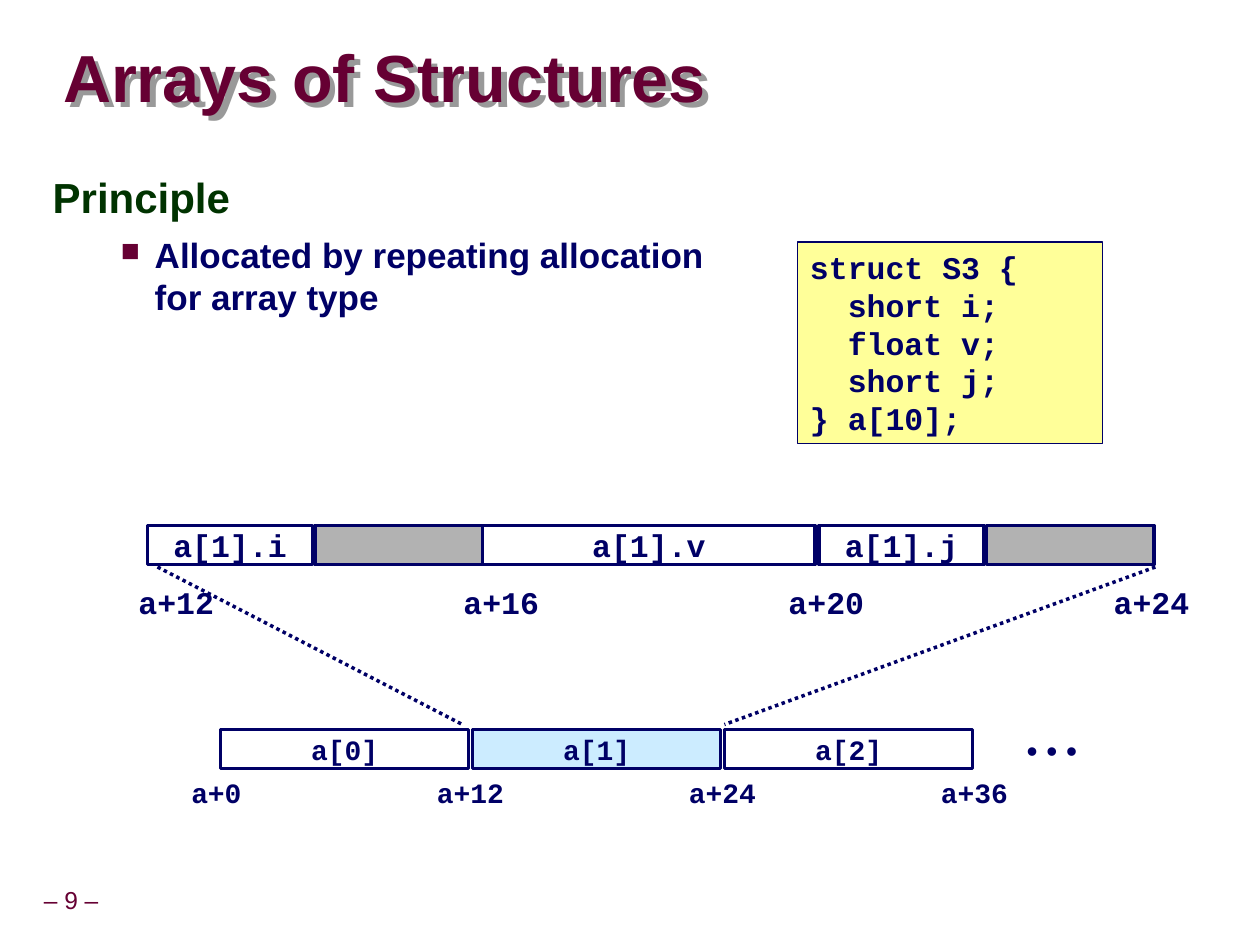
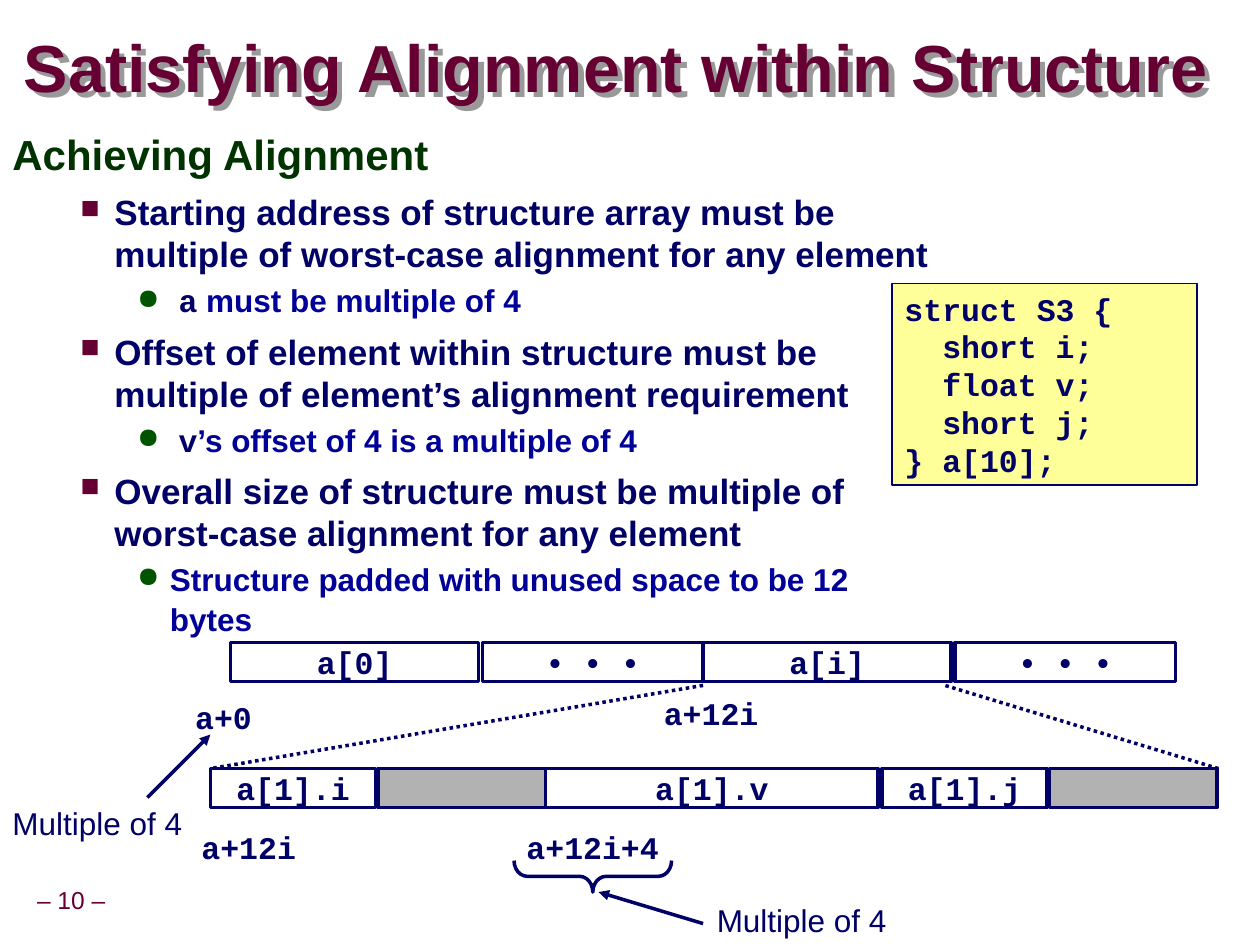
from dataclasses import dataclass

from lxml import etree
from pptx import Presentation
from pptx.dml.color import RGBColor as RGB
from pptx.enum.dml import MSO_LINE
from pptx.enum.shapes import MSO_CONNECTOR, MSO_SHAPE
from pptx.enum.text import MSO_ANCHOR as ANCHOR, MSO_AUTO_SIZE as AUTO, PP_ALIGN as ALIGN
from pptx.oxml import parse_xml
from pptx.oxml.ns import nsdecls, qn
from pptx.util import Inches, Pt


@dataclass(frozen=True)
class Theme:
    sans: str = "Arial"
    mono: str = "Courier New"
    maroon: str = "660033"
    green: str = "003300"
    bullet_green: str = "005400"
    navy: str = "000066"
    blue: str = "000099"
    white: str = "FFFFFF"
    yellow: str = "FFFF99"
    sky: str = "CCECFF"
    gray: str = "B2B2B2"
    shadow: str = "999999"
    title: int = 38
    heading: int = 24
    point: int = 20
    text: int = 18
    small: int = 16
    footer: int = 14


T = Theme()

# Body levels: size, colour, left margin, hanging indent, line spacing,
# space before, bullet (character, colour, percent)
LEVELS = [
    (T.heading, T.green, 0.42, 0.42, 0.95, 15, None),
    (T.point, T.navy, 0.81, 0.27, 1.0, 6.2, ("■", T.maroon, 75)),
    (T.text, T.blue, 1.25, 0.26, 1.07, 2.2, ("●", T.bullet_green, 90)),
]
CODE = ["struct S3 {", "  short i;", "  float v;", "  short j;", "} a[10];"]

# Fields of one element: text, offset, width, fill
FIELDS = [
    ("a[1].i", 0, 1.31, T.white),
    ("", 1.33, 1.33, T.gray),
    ("a[1].v", 2.66, 2.64, T.white),
    ("a[1].j", 5.33, 1.31, T.white),
    ("", 6.66, 1.33, T.gray),
]

# Title, its place, body place, code box corner, corner of the field row, body
SLIDES = [
    ("Arrays of Structures", (0.5, 0.33, 7.15, 0.63), (0.32, 1.34, 5.8, 5.71),
     (6.33, 1.92), (1.17, 4.17), [
        (0, ["Principle"]),
        (1, ["Allocated by repeating allocation for array type"]),
    ]),
    ("Satisfying Alignment within Structure", (0.19, 0.25, 9.64, 0.63), (0, 1, 7.5, 6),
     (7.08, 2.25), (1.67, 6.1), [
        (0, ["Achieving Alignment"]),
        (1, ["Starting address of structure array must be multiple of "
             "worst-case alignment for any element"]),
        (2, [" ", "a", " must be multiple of 4"]),
        (1, ["Offset of element within structure must be multiple of "
             "element’s alignment requirement"]),
        (2, [" ", "v", "’s offset of 4 is a multiple of 4"]),
        (1, ["Overall size of structure must be multiple of worst-case "
             "alignment for any element"]),
        (2, ["Structure padded with unused space to be 12 bytes"]),
    ]),
]


def add_box(s, place, lines, size=T.text, font=T.mono, fill=None, width=2, align=ALIGN.CENTER):
    """Add a filled rectangle, or a plain left-aligned label when fill is None."""
    place = [Inches(v) for v in place]
    if fill:
        sp = s.shapes.add_shape(MSO_SHAPE.RECTANGLE, *place)
        sp.shadow.inherit = False
        sp.fill.solid()
        sp.fill.fore_color.rgb = RGB.from_string(fill)
        sp.line.color.rgb = RGB.from_string(T.navy)
        sp.line.width = Pt(width)
    else:
        sp = s.shapes.add_textbox(*place)
        align = ALIGN.LEFT
    tf = sp.text_frame
    tf.word_wrap = False
    tf.vertical_anchor = ANCHOR.MIDDLE if fill else ANCHOR.TOP
    for i, line in enumerate(lines):
        p = tf.paragraphs[0] if i == 0 else tf.add_paragraph()
        p.alignment = align
        if line:
            r = p.add_run()
            r.text = line
            r.font.name = font
            r.font.size = Pt(size)
            r.font.bold = font == T.mono
            r.font.color.rgb = RGB.from_string(T.navy)
    return sp


def add_line(s, x1, y1, x2, y2, arrow=False):
    """Add a solid arrow, or a dotted line without a head."""
    cn = s.shapes.add_connector(MSO_CONNECTOR.STRAIGHT, *[Inches(v) for v in (x1, y1, x2, y2)])
    cn.line.color.rgb = RGB.from_string(T.navy)
    cn.line.width = Pt(2)
    if arrow:
        ln = cn.line._get_or_add_ln()
        etree.SubElement(ln, qn("a:tailEnd"), type="triangle")
    else:
        cn.line.dash_style = MSO_LINE.ROUND_DOT
    etree.SubElement(cn._element.spPr, qn("a:effectLst"))


prs = Presentation()
prs.slide_width, prs.slide_height = Inches(10), Inches(7.5)

for number, (title, title_at, body_at, code_at, fields_at, body) in enumerate(SLIDES, 9):
    s = prs.slides.add_slide(prs.slide_layouts[5])

    # Title with its gray shadow
    sp = s.shapes.title
    sp.left, sp.top, sp.width, sp.height = [Inches(v) for v in title_at]
    sp._element.spPr.append(parse_xml(
        f'<a:effectLst {nsdecls("a")}><a:outerShdw dist="56000" dir="2700000" algn="ctr">'
        f'<a:srgbClr val="{T.shadow}"/></a:outerShdw></a:effectLst>'))
    tf = sp.text_frame
    tf.margin_left = tf.margin_right = tf.margin_top = tf.margin_bottom = 0
    tf.auto_size = AUTO.NONE
    tf.word_wrap = True
    tf.vertical_anchor = ANCHOR.MIDDLE
    p = tf.paragraphs[0]
    p.alignment = ALIGN.LEFT
    p.line_spacing = 0.87
    r = p.add_run()
    r.text = title
    r.font.name, r.font.size, r.font.bold = T.sans, Pt(T.title), True
    r.font.color.rgb = RGB.from_string(T.maroon)

    # Page number
    sp = s.shapes.add_textbox(Inches(-0.09), Inches(7), Inches(1.31), Inches(0.31))
    tf = sp.text_frame
    tf.margin_left = tf.margin_right = Inches(0.05)
    tf.word_wrap = False
    tf.vertical_anchor = ANCHOR.MIDDLE
    p = tf.paragraphs[0]
    p.alignment = ALIGN.CENTER
    p.line_spacing = 0.9
    r = p.add_run()
    r.text = f"– {number} –"
    r.font.name, r.font.size = T.sans, Pt(T.footer)
    r.font.color.rgb = RGB.from_string(T.maroon)

    # Body text
    tf = s.shapes.add_textbox(*[Inches(v) for v in body_at]).text_frame
    tf.word_wrap = True
    for i, (level, runs) in enumerate(body):
        size, color, margin, hanging, spacing, before, bullet = LEVELS[level]
        p = tf.paragraphs[0] if i == 0 else tf.add_paragraph()
        p.level = level
        p.line_spacing = spacing
        p.space_before = Pt(before if i else 0)
        pPr = p._p.get_or_add_pPr()
        pPr.set("marL", str(Inches(margin)))
        pPr.set("indent", str(-Inches(hanging)))
        if bullet:
            char, bullet_color, percent = bullet
            clr = etree.SubElement(pPr, qn("a:buClr"))
            etree.SubElement(clr, qn("a:srgbClr"), val=bullet_color)
            etree.SubElement(pPr, qn("a:buSzPct"), val=str(percent * 1000))
            etree.SubElement(pPr, qn("a:buChar"), char=char)
        for text in runs:
            is_code = text in ("a", "v")
            r = p.add_run()
            r.text = text
            r.font.name = T.mono if is_code else T.sans
            r.font.size, r.font.bold = Pt(size), True
            r.font.color.rgb = RGB.from_string(T.navy if is_code else color)

    # Declaration and the fields of one element
    sp = add_box(s, (*code_at, 2.42, 1.6), CODE, fill=T.yellow, width=1, align=ALIGN.LEFT)
    sp.text_frame.vertical_anchor = ANCHOR.TOP
    left, top = fields_at
    for text, offset, w, fill in FIELDS:
        add_box(s, (left + offset, top, w, 0.31), [text], fill=fill)

array_slide, alignment_slide = prs.slides

# Array of elements, zoomed into a[1]
s = array_slide
for i, fill in enumerate([T.white, T.sky, T.white]):
    add_box(s, (1.75 + 2 * i, 5.79, 1.97, 0.31), [f"a[{i}]"], T.small, fill=fill)
for x, text, w in [(1.42, "a+0", 0.6), (3.37, "a+12", 0.73), (5.37, "a+24", 0.73),
                   (7.37, "a+36", 0.73)]:
    add_box(s, (x, 6.11, w, 0.36), [text], T.small)
add_box(s, (8.05, 5.75, 0.6, 0.4), ["• • •"], font=T.sans)
for i in range(4):
    add_box(s, (1 + 2.58 * i, 4.58, 0.8, 0.4), [f"a+{12 + 4 * i}"])
add_line(s, 1.25, 4.5, 3.67, 5.75)
add_line(s, 9.17, 4.5, 5.75, 5.75)

# Array of elements, zoomed into a[i]
s = alignment_slide
add_line(s, 5.58, 5.44, 1.67, 6.1)
add_line(s, 9.67, 6.1, 7.5, 5.44)
for x, w, text in [(1.83, 1.97, "a[0]"), (3.83, 1.75, "• • •"),
                   (5.58, 1.97, "a[i]"), (7.58, 1.75, "• • •")]:
    add_box(s, (x, 5.1, w, 0.31), [text], fill=T.white)
for x, y, w, text in [(1.45, 5.49, 0.65, "a+0"), (5.17, 5.46, 0.95, "a+12i"),
                      (1.5, 6.52, 0.95, "a+12i"), (4.08, 6.52, 1.25, "a+12i+4")]:
    add_box(s, (x, y, w, 0.4), [text])

# Notes on the addresses
for x, y in [(5.59, 7.1), (0, 6.33)]:
    add_box(s, (x, y, 1.55, 0.4), ["Multiple of 4"], font=T.sans)
add_line(s, 5.58, 7.33, 4.75, 7.08, arrow=True)
add_line(s, 1.17, 6.33, 1.67, 5.83, arrow=True)
brace = s.shapes.add_shape(MSO_SHAPE.LEFT_BRACE, Inches(4.58), Inches(6.33),
                           Inches(0.25), Inches(1.25))
brace.rotation = 270
brace.adjustments[0] = 0.42
brace.shadow.inherit = False
brace.fill.background()
brace.line.color.rgb = RGB.from_string(T.navy)
brace.line.width = Pt(2)

prs.save("out.pptx")
